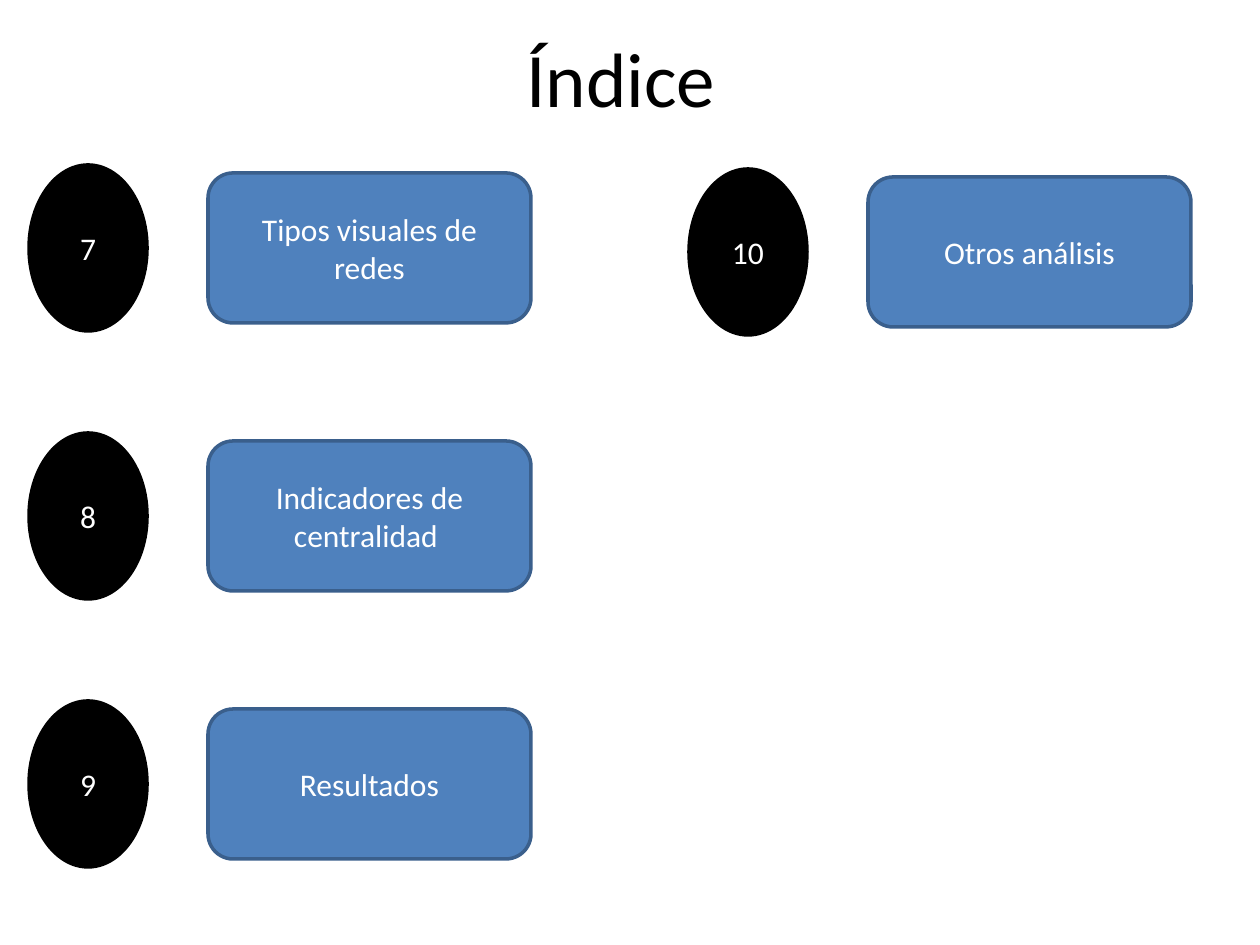
from dataclasses import dataclass

from pptx import Presentation
from pptx.dml.color import RGBColor
from pptx.enum.shapes import MSO_SHAPE as Shape
from pptx.enum.text import MSO_ANCHOR as Anchor, PP_ALIGN as Align
from pptx.util import Emu, Pt

PX_PER_INCH = 126


def px(n):
    return Emu(round(n * 914400 / PX_PER_INCH))


@dataclass(frozen=True)
class Theme:
    font: str = "Calibri"
    title_size: int = 44
    body_size: int = 18
    line_width: int = 2
    black: str = "000000"
    white: str = "FFFFFF"
    blue: str = "4F81BD"
    blue_edge: str = "3A5F8C"


class IndexSlide:
    def __init__(self, prs, theme):
        self.theme = theme
        self.s = prs.slides.add_slide(prs.slide_layouts[6])

    def set_text(self, sp, text, size, color):
        tf = sp.text_frame
        tf.word_wrap = True
        tf.vertical_anchor = Anchor.MIDDLE
        p = tf.paragraphs[0]
        p.alignment = Align.CENTER
        r = p.add_run()
        r.text = text
        for name, value in {"name": self.theme.font, "size": Pt(size)}.items():
            setattr(r.font, name, value)
        r.font.color.rgb = RGBColor.from_string(color)

    def title(self, text, *box):
        sp = self.s.shapes.add_textbox(*map(px, box))
        self.set_text(sp, text, self.theme.title_size, self.theme.black)

    def shape(self, kind, text, box, fill, line):
        sp = self.s.shapes.add_shape(kind, *map(px, box))
        sp.shadow.inherit = False
        sp.fill.solid()
        sp.fill.fore_color.rgb = RGBColor.from_string(fill)
        sp.line.color.rgb = RGBColor.from_string(line)
        sp.line.width = Pt(self.theme.line_width)
        self.set_text(sp, text, self.theme.body_size, self.theme.white)

    def entry(self, number, text, x, y):
        """Numbered oval with its topic box to the right."""
        t = self.theme
        self.shape(Shape.OVAL, str(number), (x, y, 118, 166), t.black, t.black)
        self.shape(Shape.ROUNDED_RECTANGLE, text, (x + 179, y + 8, 323, 150),
                   t.blue, t.blue_edge)


def main():
    prs = Presentation()
    prs.slide_width, prs.slide_height = px(1260), px(945)
    slide = IndexSlide(prs, Theme())
    slide.title("Índice", 88, 16, 1066, 122)

    row_pitch = 268
    columns = [
        (29, 165, ["Tipos visuales de redes", "Indicadores de centralidad ",
                   "Resultados"]),
        (689, 169, ["Otros análisis"]),
    ]
    number = 7
    for x, top, topics in columns:
        for row, topic in enumerate(topics):
            slide.entry(number, topic, x, top + row * row_pitch)
            number += 1

    prs.save("out.pptx")


if __name__ == "__main__":
    main()
